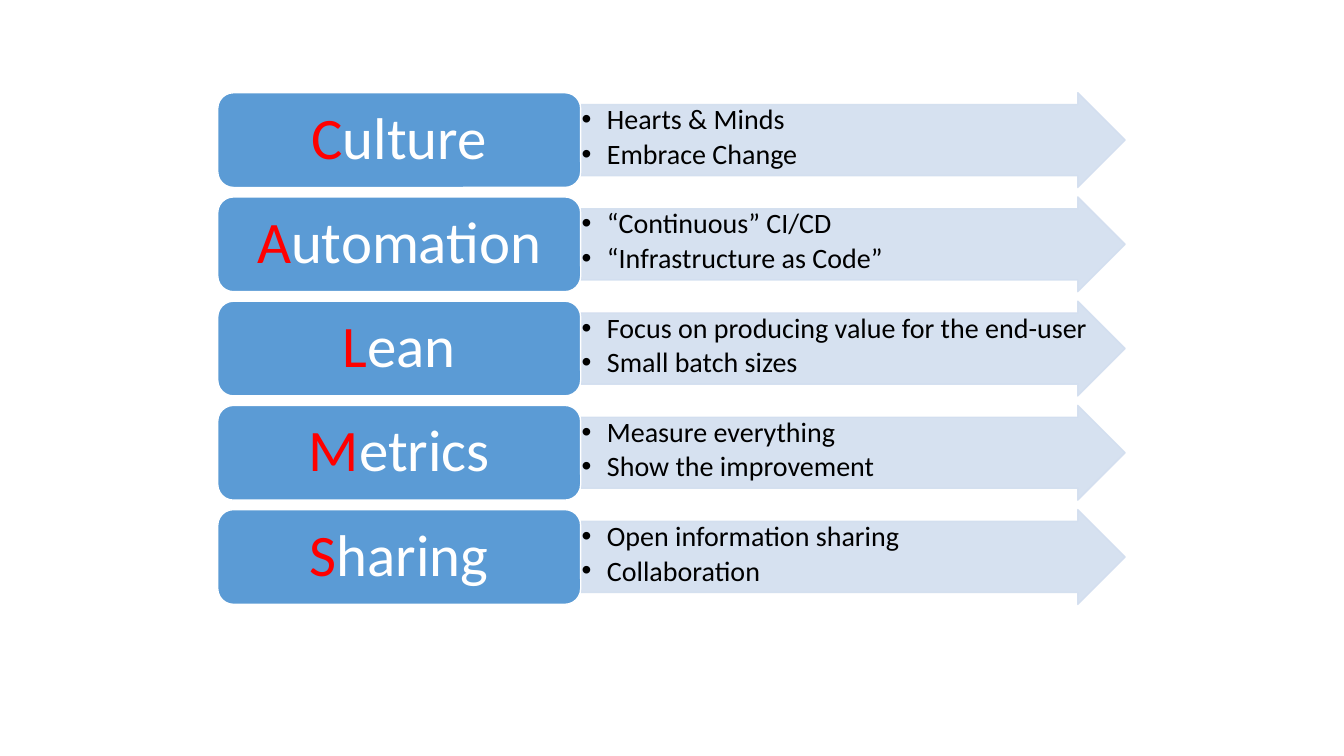
from dataclasses import dataclass
from lxml.etree import SubElement
from pptx import Presentation
from pptx.dml.color import RGBColor
from pptx.enum.shapes import MSO_SHAPE
from pptx.enum.text import MSO_ANCHOR, PP_ALIGN
from pptx.oxml.ns import qn
from pptx.util import Inches, Pt

ROWS = [
    ("Culture", ["Hearts & Minds", "Embrace Change"]),
    ("Automation", ["“Continuous” CI/CD", "“Infrastructure as Code”"]),
    ("Lean", ["Focus on producing value for the end-user", "Small batch sizes"]),
    ("Metrics", ["Measure everything", "Show the improvement"]),
    ("Sharing", ["Open information sharing", "Collaboration"]),
]


@dataclass(frozen=True)
class Theme:
    font: str = "Calibri"
    mark: str = "Arial"
    box: str = "5B9BD5"
    arrow: str = "D2DEEF"
    white: str = "FFFFFF"
    black: str = "000000"
    red: str = "FF0000"
    title: int = 42
    point: int = 20
    edge: int = 1
    alpha: int = 90


THEME = Theme()
WIDE, HIGH = 13.33, 7.5
LEFT, TOP = 2.16, 0.92
BOX, ARROW = 3.6, 5.4
ROW = 0.94
STEP = ROW * 1.1
INDENT = 0.25


def shape(slide, kind, left, top, width, fill, line):
    item = slide.shapes.add_shape(
        kind, Inches(left), Inches(top), Inches(width), Inches(ROW))
    item.shadow.inherit = False
    item.fill.solid()
    item.fill.fore_color.rgb = RGBColor.from_string(fill)
    item.line.color.rgb = RGBColor.from_string(line)
    item.line.width = Pt(THEME.edge)
    return item


def inset(frame, side, ends):
    frame.word_wrap = True
    frame.margin_left = frame.margin_right = Inches(side)
    frame.margin_top = frame.margin_bottom = Inches(ends)


def style(run, size, color):
    run.font.name = THEME.font
    run.font.size = Pt(size)
    run.font.color.rgb = RGBColor.from_string(color)


def fade(item):
    for color in item._element.spPr.iter(qn("a:srgbClr")):
        SubElement(color, qn("a:alpha"), val=str(THEME.alpha * 1000))


def bullet(para):
    props = para._p.get_or_add_pPr()
    props.set("marL", str(Inches(INDENT)))
    props.set("indent", str(-Inches(INDENT)))
    SubElement(props, qn("a:buFont"), typeface=THEME.mark)
    SubElement(props, qn("a:buChar"), char="•")


def add_arrow(slide, top, points):
    item = shape(slide, MSO_SHAPE.RIGHT_ARROW, LEFT + BOX, top, ARROW,
                 THEME.arrow, THEME.arrow)
    item.adjustments[0], item.adjustments[1] = 0.75, 0.5
    fade(item)
    frame = item.text_frame
    inset(frame, 0.01, 0.01)
    frame.vertical_anchor = MSO_ANCHOR.TOP
    frame.text = "\n".join(points)
    for para in frame.paragraphs:
        para.alignment = PP_ALIGN.LEFT
        para.line_spacing = 0.9
        para.space_after = Pt(THEME.point * 0.15)
        bullet(para)
        style(para.runs[0], THEME.point, THEME.black)


def add_box(slide, top, title):
    item = shape(slide, MSO_SHAPE.ROUNDED_RECTANGLE, LEFT, top, BOX,
                 THEME.box, THEME.white)
    frame = item.text_frame
    inset(frame, 0.17, 0.09)
    frame.vertical_anchor = MSO_ANCHOR.MIDDLE
    para = frame.paragraphs[0]
    para.alignment = PP_ALIGN.CENTER
    para.line_spacing = 0.9
    for text, color in ((title[0], THEME.red), (title[1:], THEME.white)):
        run = para.add_run()
        run.text = text
        style(run, THEME.title, color)


def main():
    deck = Presentation()
    deck.slide_width, deck.slide_height = Inches(WIDE), Inches(HIGH)
    slide = deck.slides.add_slide(deck.slide_layouts[6])
    for index, (title, points) in enumerate(ROWS):
        top = TOP + index * STEP
        add_arrow(slide, top, points)
        add_box(slide, top, title)
    deck.save("out.pptx")


if __name__ == "__main__":
    main()
